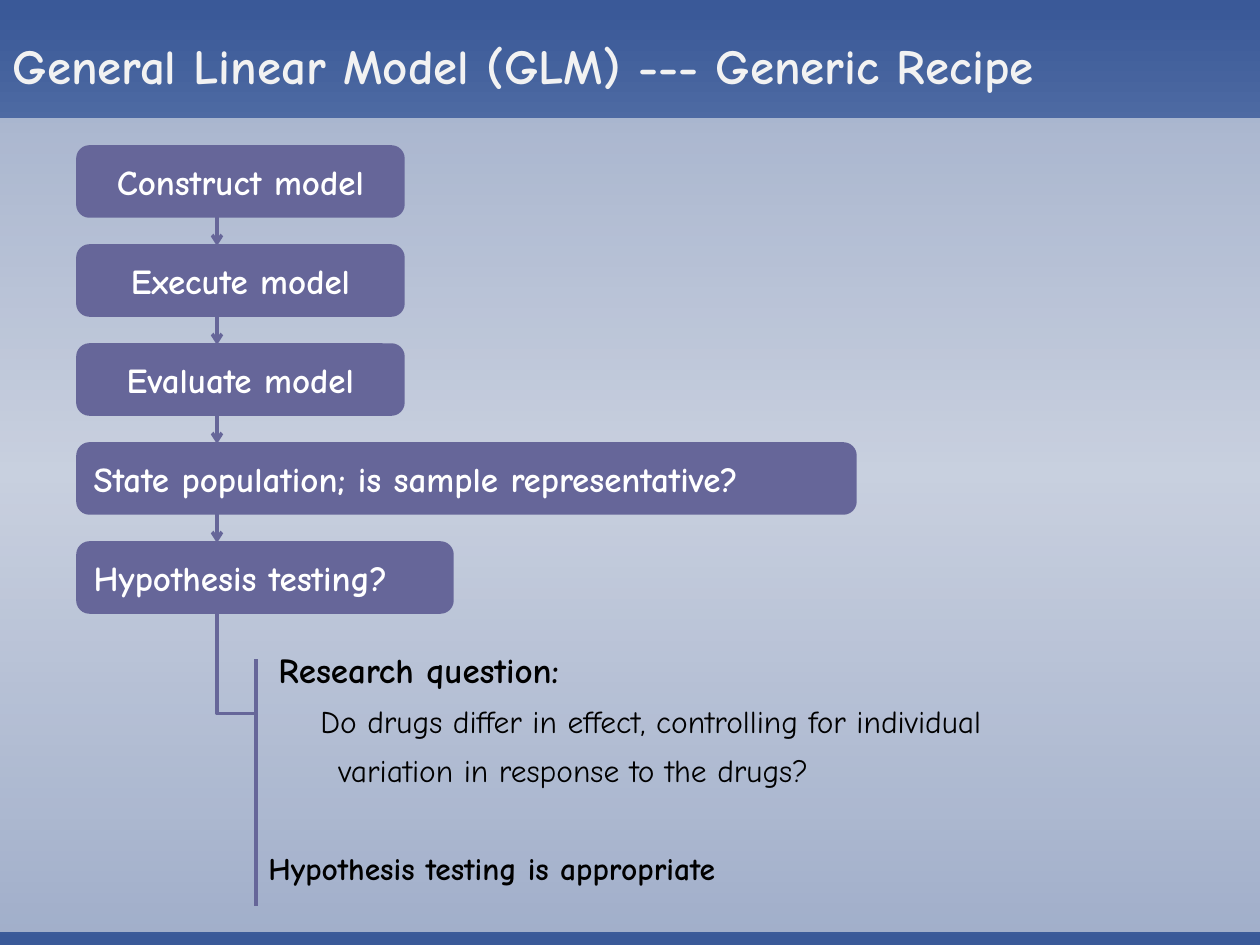
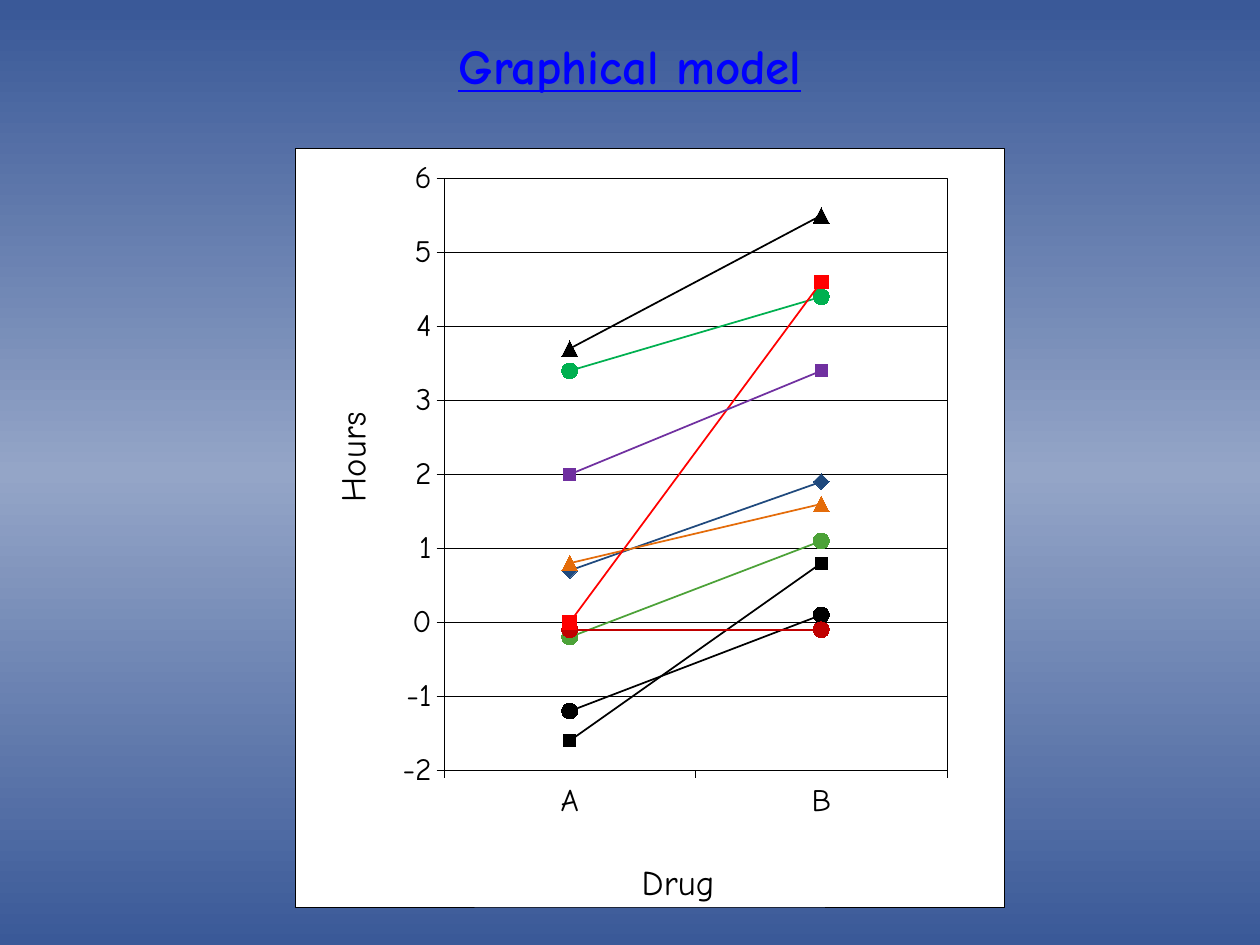
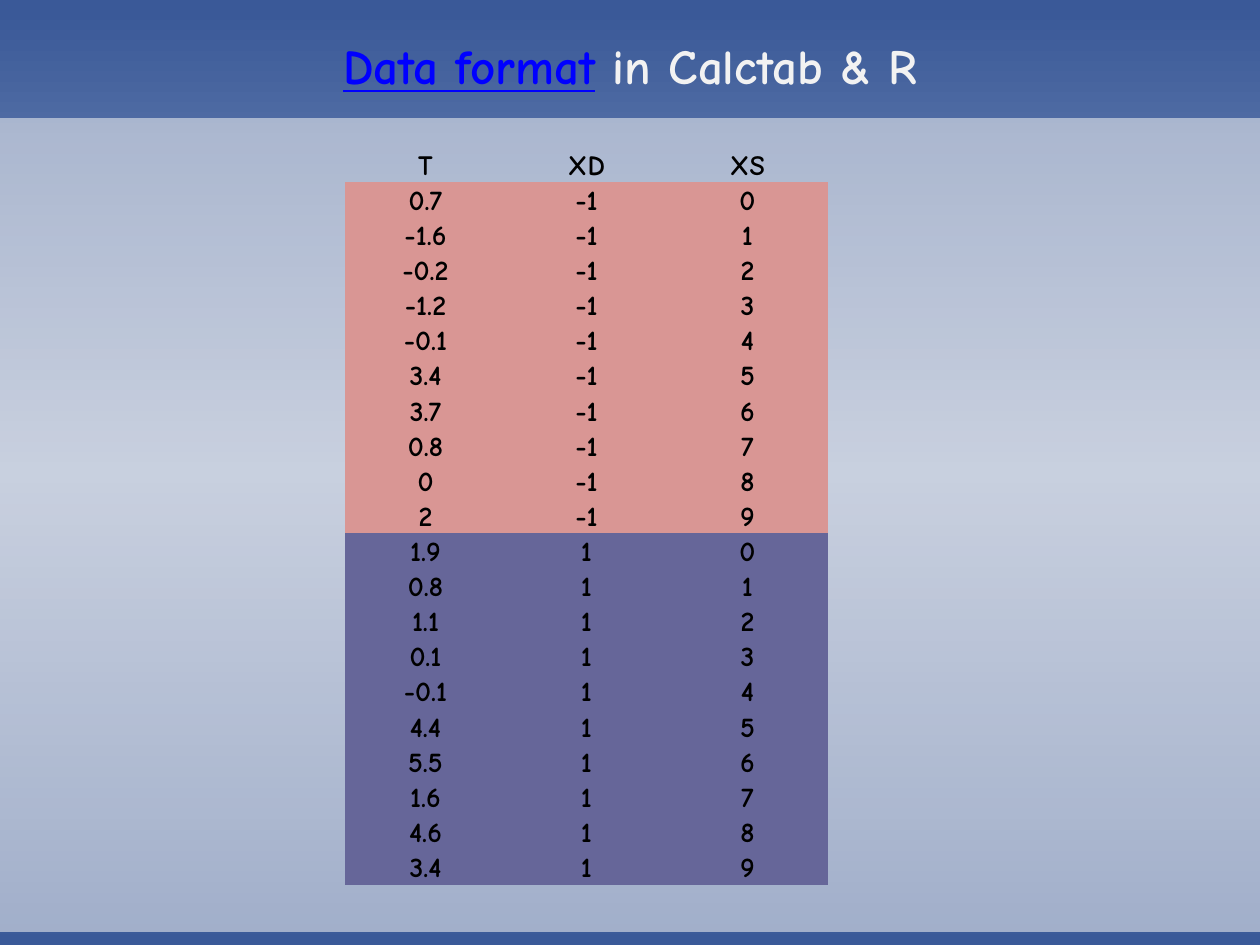
import pptx
import pptx.chart.data
import pptx.dml.color
import pptx.enum.chart
import pptx.enum.shapes
import pptx.enum.text
import pptx.oxml
import pptx.oxml.ns
import pptx.util
from lxml import etree

qn = pptx.oxml.ns.qn
Pt = pptx.util.Pt
ALIGN = pptx.enum.text.PP_ALIGN
ANCHOR = pptx.enum.text.MSO_ANCHOR
SHAPE = pptx.enum.shapes.MSO_SHAPE
CONNECTOR = pptx.enum.shapes.MSO_CONNECTOR
MARKER = pptx.enum.chart.XL_MARKER_STYLE

WIDTH, HEIGHT = 1260, 945
FONT = "Comic Neue"
BLACK, WHITE, PALE = "000000", "FFFFFF", "F2F2F2"
PURPLE, ROSE, LINK = "666699", "D99694", "0000FF"
BACKDROP = [(0, "3A5998"), (1, "3A5998"), (50, "94A5C7"), (100, "3A5998")]
NO_TABLE_STYLE = "{2D5ABB26-0587-4C30-8999-92F81FD0307C}"

DRUG_A = [0.7, -1.6, -0.2, -1.2, -0.1, 3.4, 3.7, 0.8, 0, 2]
DRUG_B = [1.9, 0.8, 1.1, 0.1, -0.1, 4.4, 5.5, 1.6, 4.6, 3.4]
SUBJECT_STYLES = [
    ("1F497D", MARKER.DIAMOND, 9),
    (BLACK, MARKER.SQUARE, 7),
    ("4CA238", MARKER.CIRCLE, 9),
    (BLACK, MARKER.CIRCLE, 9),
    ("C00000", MARKER.CIRCLE, 9),
    ("00B050", MARKER.CIRCLE, 9),
    (BLACK, MARKER.TRIANGLE, 9),
    ("E46C0A", MARKER.TRIANGLE, 9),
    ("FF0000", MARKER.SQUARE, 8),
    ("7030A0", MARKER.SQUARE, 7),
]


def px(n):
    return pptx.util.Emu(round(n * 914400 / 126))


def rgb(color):
    return pptx.dml.color.RGBColor.from_string(color)


def set_fill(fill, color):
    fill.solid()
    fill.fore_color.rgb = rgb(color)


def set_line(line, color, width):
    set_fill(line.fill, color)
    line.width = Pt(width)


def set_font(font, size, color=BLACK, bold=False):
    font.name = FONT
    font.size = Pt(size)
    font.bold = bold
    font.color.rgb = rgb(color)


def add_run(p, text, size, color=BLACK, bold=False, underline=False):
    r = p.add_run()
    r.text = text
    set_font(r.font, size, color, bold)
    if underline:
        r.font.underline = True


def set_layout(parent, **fractions):
    """Give a chart part a manual layout in fractions of the chart."""
    layout = parent.find(qn("c:layout"))
    if layout is None:
        layout = etree.Element(qn("c:layout"))
        parent.insert(0, layout)
    manual = etree.SubElement(layout, qn("c:manualLayout"))
    if "w" in fractions:
        etree.SubElement(manual, qn("c:layoutTarget"), val="inner")
    for side in "xy":
        etree.SubElement(manual, qn(f"c:{side}Mode"), val="edge")
    for side, value in fractions.items():
        etree.SubElement(manual, qn(f"c:{side}"), val=str(value))


def frame_properties(fill):
    """Return chart shape properties with a thin black border."""
    ns = pptx.oxml.ns.nsdecls("c", "a")
    return pptx.oxml.parse_xml(
        f"<c:spPr {ns}>{fill}<a:ln w='3175'><a:solidFill>"
        f"<a:srgbClr val='{BLACK}'/></a:solidFill></a:ln></c:spPr>")


class Deck:
    def __init__(self):
        self.prs = pptx.Presentation()
        self.prs.slide_width, self.prs.slide_height = px(WIDTH), px(HEIGHT)
        master = self.prs.slide_master
        fill = master.background.fill
        fill.gradient()
        fill.gradient_angle = 270
        stops = next(master.element.iter(qn("a:gsLst")))
        for gs in list(stops):
            stops.remove(gs)
        for percent, color in BACKDROP:
            gs = etree.SubElement(stops, qn("a:gs"), pos=str(percent * 1000))
            etree.SubElement(gs, qn("a:srgbClr"), val=color)

    def slide(self, title, align=ALIGN.CENTER, panel=True):
        """Start a slide; title lists (text, is_link) pairs."""
        self.s = self.prs.slides.add_slide(self.prs.slide_layouts[5])
        sp = self.s.shapes.title
        sp.left, sp.top, sp.width, sp.height = px(0), px(0), px(WIDTH), px(92)
        tf = sp.text_frame
        tf.word_wrap = True
        tf.auto_size = pptx.enum.text.MSO_AUTO_SIZE.NONE
        tf.vertical_anchor = ANCHOR.TOP
        p = tf.paragraphs[0]
        p.alignment = align
        p.line_spacing = 1.5
        for text, is_link in title:
            add_run(p, text, 28, LINK if is_link else PALE, True, is_link)
        if panel:
            sp = self.shape(SHAPE.RECTANGLE, 0, 118, WIDTH, 814, PALE)
            sp.line.fill.background()
            color = next(sp.element.spPr.iter(qn("a:srgbClr")))
            etree.SubElement(color, qn("a:alpha"), val="56000")

    def shape(self, kind, x, y, w, h, color):
        sp = self.s.shapes.add_shape(kind, px(x), px(y), px(w), px(h))
        sp.shadow.inherit = False
        set_fill(sp.fill, color)
        return sp

    def step(self, text, x, y, w, h, align):
        sp = self.shape(SHAPE.ROUNDED_RECTANGLE, x, y, w, h, PURPLE)
        set_line(sp.line, PURPLE, 2)
        sp.text_frame.vertical_anchor = ANCHOR.MIDDLE
        p = sp.text_frame.paragraphs[0]
        p.alignment = align
        add_run(p, text, 20, WHITE, True)

    def connector(self, x1, y1, x2, y2, kind=CONNECTOR.STRAIGHT, arrow=False):
        c = self.s.shapes.add_connector(kind, px(x1), px(y1), px(x2), px(y2))
        set_line(c.line, PURPLE, 2)
        sp_pr = c.element.spPr
        etree.SubElement(sp_pr, qn("a:effectLst"))
        if arrow:
            etree.SubElement(sp_pr.find(qn("a:ln")), qn("a:tailEnd"), type="arrow")
        return c

    def elbow(self, x1, y1, x2, y2, bend):
        """Go down past the end, across and back up, as a turned elbow."""
        cx, cy = (x1 + x2) / 2, (y1 + y2) / 2
        dx, dy = (y2 - y1) / 2, (x2 - x1) / 2
        c = self.connector(cx + dx, cy - dy, cx - dx, cy + dy, CONNECTOR.ELBOW)
        sp_pr = c.element.spPr
        sp_pr.find(qn("a:xfrm")).set("rot", str(270 * 60000))
        geometry = sp_pr.find(qn("a:prstGeom"))
        guides = geometry.find(qn("a:avLst"))
        if guides is None:
            guides = etree.SubElement(geometry, qn("a:avLst"))
        etree.SubElement(guides, qn("a:gd"), name="adj1", fmla=f"val {bend}")

    def text(self, x, y, w, h, paragraphs):
        """Add paragraphs of (text, size, bold, margin, indent, space before)."""
        tf = self.s.shapes.add_textbox(px(x), px(y), px(w), px(h)).text_frame
        tf.word_wrap = True
        for i, (text, size, bold, margin, indent, before) in enumerate(paragraphs):
            p = tf.paragraphs[0] if i == 0 else tf.add_paragraph()
            p.line_spacing = 1.3
            if before:
                p.space_before = Pt(before)
            p_pr = p._p.get_or_add_pPr()
            p_pr.set("marL", str(px(margin)))
            p_pr.set("indent", str(px(indent)))
            add_run(p, text, size, BLACK, bold)

    def axis(self, axis, title, x, y):
        set_font(axis.tick_labels.font, 18)
        set_line(axis.format.line, BLACK, 0.25)
        axis.major_tick_mark = pptx.enum.chart.XL_TICK_MARK.OUTSIDE
        axis.minor_tick_mark = pptx.enum.chart.XL_TICK_MARK.NONE
        add_run(axis.axis_title.text_frame.paragraphs[0], title, 20)
        set_layout(axis.axis_title.element if hasattr(axis.axis_title, "element")
                   else axis.axis_title._element, x=x, y=y)

    def line_chart(self, x, y, w, h, cats, rows, styles):
        data = pptx.chart.data.CategoryChartData()
        data.categories = cats
        for i, values in enumerate(rows, 1):
            data.add_series(f"Series {i}", values)
        chart = self.s.shapes.add_chart(
            pptx.enum.chart.XL_CHART_TYPE.LINE_MARKERS,
            px(x), px(y), px(w), px(h), data).chart
        chart.has_legend = chart.has_title = False
        set_font(chart.font, 18)
        plot = chart.plots[0]
        plot.vary_by_categories = False
        for series, (color, marker, size) in zip(plot.series, styles):
            series.smooth = False
            set_line(series.format.line, color, 1)
            series.marker.style, series.marker.size = marker, size
            set_fill(series.marker.format.fill, color)
            set_line(series.marker.format.line, color, 0.25)

        self.axis(chart.category_axis, "Drug", 0.48, 0.93)
        values = chart.value_axis
        self.axis(values, "Hours", 0.04, 0.34)
        values.minimum_scale, values.maximum_scale, values.major_unit = -2, 6, 1
        values.crosses = pptx.enum.chart.XL_AXIS_CROSSES.MINIMUM
        values.tick_labels.number_format = "0"
        values.tick_labels.number_format_is_linked = False
        set_line(values.major_gridlines.format.line, BLACK, 0.25)
        body = values.axis_title.text_frame._txBody.find(qn("a:bodyPr"))
        body.set("rot", "-5400000")
        body.set("vert", "horz")

        root = chart.element
        area = next(root.iter(qn("c:plotArea")))
        set_layout(area, x=0.21, y=0.04, w=0.71, h=0.78)
        area.append(frame_properties("<a:noFill/>"))
        white = f"<a:solidFill><a:srgbClr val='{WHITE}'/></a:solidFill>"
        root.find(qn("c:chart")).addnext(frame_properties(white))

    def table(self, x, y, w, h, rows, colors):
        """Add a table; a row whose colour is None stays clear."""
        frame = self.s.shapes.add_table(
            len(rows), len(rows[0]), px(x), px(y), px(w), px(h))
        table = frame.table
        table.first_row = table.horz_banding = False
        next(frame.element.iter(qn("a:tableStyleId"))).text = NO_TABLE_STYLE
        for i, (row, color) in enumerate(zip(rows, colors)):
            for j, value in enumerate(row):
                cell = table.cell(i, j)
                cell.margin_left = cell.margin_right = cell.margin_top = px(1)
                cell.margin_bottom = px(0)
                cell.vertical_anchor = ANCHOR.BOTTOM
                if color:
                    set_fill(cell.fill, color)
                else:
                    cell.fill.background()
                p = cell.text_frame.paragraphs[0]
                p.alignment = ALIGN.CENTER
                add_run(p, str(value), 16, BLACK, True)


def recipe_slide(deck):
    deck.slide([("General Linear Model (GLM) --- Generic Recipe", False)], ALIGN.LEFT)
    steps = [
        ("Construct model", 325, ALIGN.CENTER),
        ("Execute model", 325, ALIGN.CENTER),
        ("Evaluate model", 325, ALIGN.CENTER),
        ("State population; is sample representative?", 777, ALIGN.LEFT),
        ("Hypothesis testing?", 374, ALIGN.LEFT),
    ]
    top, pitch, height, flow_x, detail_x = 147, 99, 69, 217, 256
    for i, (text, width, align) in enumerate(steps):
        y = top + i * pitch
        deck.step(text, 78, y, width, height, align)
        if i:
            deck.connector(flow_x, y - pitch + height, flow_x, y, arrow=True)
    deck.text(detail_x, 630, 847, 266, [
        ("Research question:", 20, True, 10, 0, 0),
        ("Do drugs differ in effect, controlling for individual variation "
         "in response to the drugs?", 18, False, 70, -18, 0),
        ("Hypothesis testing is appropriate", 18, True, 0, 0, 28),
    ])
    deck.elbow(flow_x, y + height, detail_x, 699, 116800)
    deck.connector(detail_x, 906, detail_x, 659)


def graph_slide(deck):
    deck.slide([("Graphical model", True)], panel=False)
    deck.line_chart(295, 148, 709, 767, ["A", "B"], zip(DRUG_A, DRUG_B),
                    SUBJECT_STYLES)


def data_slide(deck):
    deck.slide([("Data format", True), (" in Calctab & R", False)])
    rows, colors = [("T", "XD", "XS")], [None]
    for times, code, color in ((DRUG_A, -1, ROSE), (DRUG_B, 1, PURPLE)):
        rows += [(t, code, subject) for subject, t in enumerate(times)]
        colors += [color] * len(times)
    deck.table(345, 147, 483, 738, rows, colors)


def main():
    deck = Deck()
    recipe_slide(deck)
    graph_slide(deck)
    data_slide(deck)
    deck.prs.save("out.pptx")


if __name__ == "__main__":
    main()
